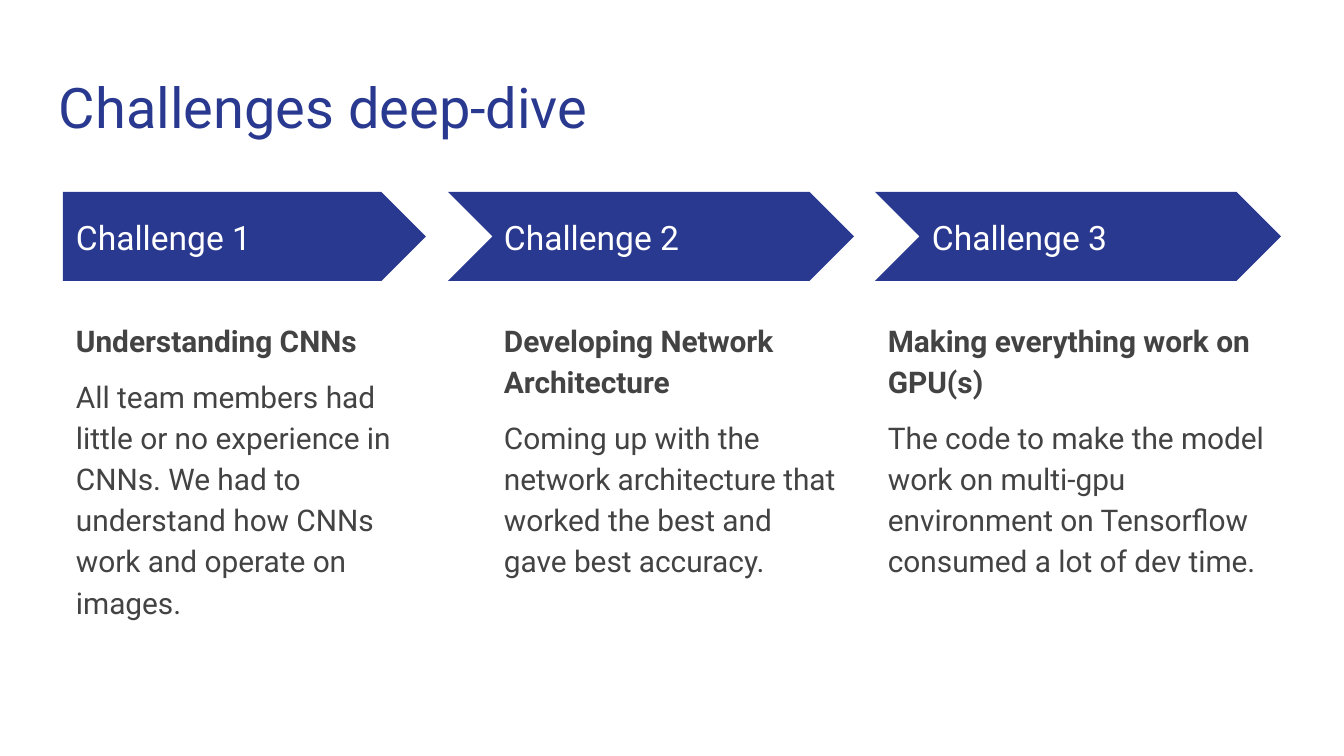
from dataclasses import dataclass

from pptx import Presentation
from pptx.dml.color import RGBColor
from pptx.enum.shapes import MSO_SHAPE
from pptx.enum.text import MSO_ANCHOR, PP_ALIGN
from pptx.util import Pt

PENTAGON = MSO_SHAPE.PENTAGON
CHEVRON = MSO_SHAPE.CHEVRON
TOP = MSO_ANCHOR.TOP
MIDDLE = MSO_ANCHOR.MIDDLE
LEFT = PP_ALIGN.LEFT

EMU_PER_PX = 914400 / 134.4
INSET = 13
FIRST_LEFT = 63
LABEL_STEP = 428
ARROW_TOP = 192
ARROW_HEIGHT = 89


@dataclass(frozen=True)
class Theme:
    font: str = "Roboto"
    background: RGBColor = RGBColor(0xFF, 0xFF, 0xFF)
    accent: RGBColor = RGBColor(0x2A, 0x39, 0x90)
    label: RGBColor = RGBColor(0xFF, 0xFF, 0xFF)
    body: RGBColor = RGBColor(0x43, 0x43, 0x43)
    title_size: int = 30
    label_size: int = 18
    body_size: int = 16


@dataclass(frozen=True)
class Challenge:
    arrow: MSO_SHAPE
    arrow_left: int
    arrow_width: int
    body_left: int
    body_width: int
    heading: str
    details: str


THEME = Theme()
CHALLENGES = (
    Challenge(
        PENTAGON, 63, 363, 63, 363,
        "Understanding CNNs",
        "All team members had little or no experience in CNNs. "
        "We had to understand how CNNs work and operate on images.",
    ),
    Challenge(
        CHEVRON, 448, 406, 491, 363,
        "Developing Network Architecture",
        "Coming up with the network architecture that worked the best "
        "and gave best accuracy.",
    ),
    Challenge(
        CHEVRON, 875, 406, 875, 423,
        "Making everything work on GPU(s)",
        "The code to make the model work on multi-gpu environment "
        "on Tensorflow consumed a lot of dev time.",
    ),
)


def px(length):
    return round(length * EMU_PER_PX)


def add_text_frame(slide, left, top, width, height, anchor=TOP):
    frame = slide.shapes.add_textbox(px(left), px(top), px(width), px(height)).text_frame
    frame.word_wrap = True
    frame.vertical_anchor = anchor
    frame.margin_left = frame.margin_right = px(INSET)
    frame.margin_top = frame.margin_bottom = px(INSET)
    return frame


def write_paragraph(paragraph, text, size, color, bold=False):
    paragraph.text = text
    paragraph.alignment = LEFT
    paragraph.font.name = THEME.font
    paragraph.font.size = Pt(size)
    paragraph.font.color.rgb = color
    paragraph.font.bold = bold


def add_title(slide, text):
    frame = add_text_frame(slide, 46, 60, 1253, 89)
    write_paragraph(frame.paragraphs[0], text, THEME.title_size, THEME.accent)


def add_arrow(slide, challenge):
    arrow = slide.shapes.add_shape(
        challenge.arrow, px(challenge.arrow_left), px(ARROW_TOP),
        px(challenge.arrow_width), px(ARROW_HEIGHT),
    )
    arrow.adjustments[0] = 0.5
    arrow.shadow.inherit = False
    arrow.fill.solid()
    arrow.fill.fore_color.rgb = THEME.accent
    arrow.line.fill.background()


def add_label(slide, index):
    frame = add_text_frame(slide, FIRST_LEFT + index * LABEL_STEP, 214, 332, 46, MIDDLE)
    write_paragraph(frame.paragraphs[0], f"Challenge {index + 1}", THEME.label_size, THEME.label)


def add_body(slide, challenge):
    frame = add_text_frame(slide, challenge.body_left, 304, challenge.body_width, 390)
    heading, details = frame.paragraphs[0], frame.add_paragraph()
    write_paragraph(heading, challenge.heading, THEME.body_size, THEME.body, bold=True)
    write_paragraph(details, challenge.details, THEME.body_size, THEME.body)
    for paragraph in (heading, details):
        paragraph.line_spacing = 1.15
        paragraph.space_after = Pt(8)


def main():
    presentation = Presentation()
    presentation.slide_width = px(1344)
    presentation.slide_height = px(756)
    slide = presentation.slides.add_slide(presentation.slide_layouts[6])
    slide.background.fill.solid()
    slide.background.fill.fore_color.rgb = THEME.background

    add_title(slide, "Challenges deep-dive")
    for index, challenge in enumerate(CHALLENGES):
        add_arrow(slide, challenge)
        add_label(slide, index)
        add_body(slide, challenge)

    presentation.save("out.pptx")


if __name__ == "__main__":
    main()
